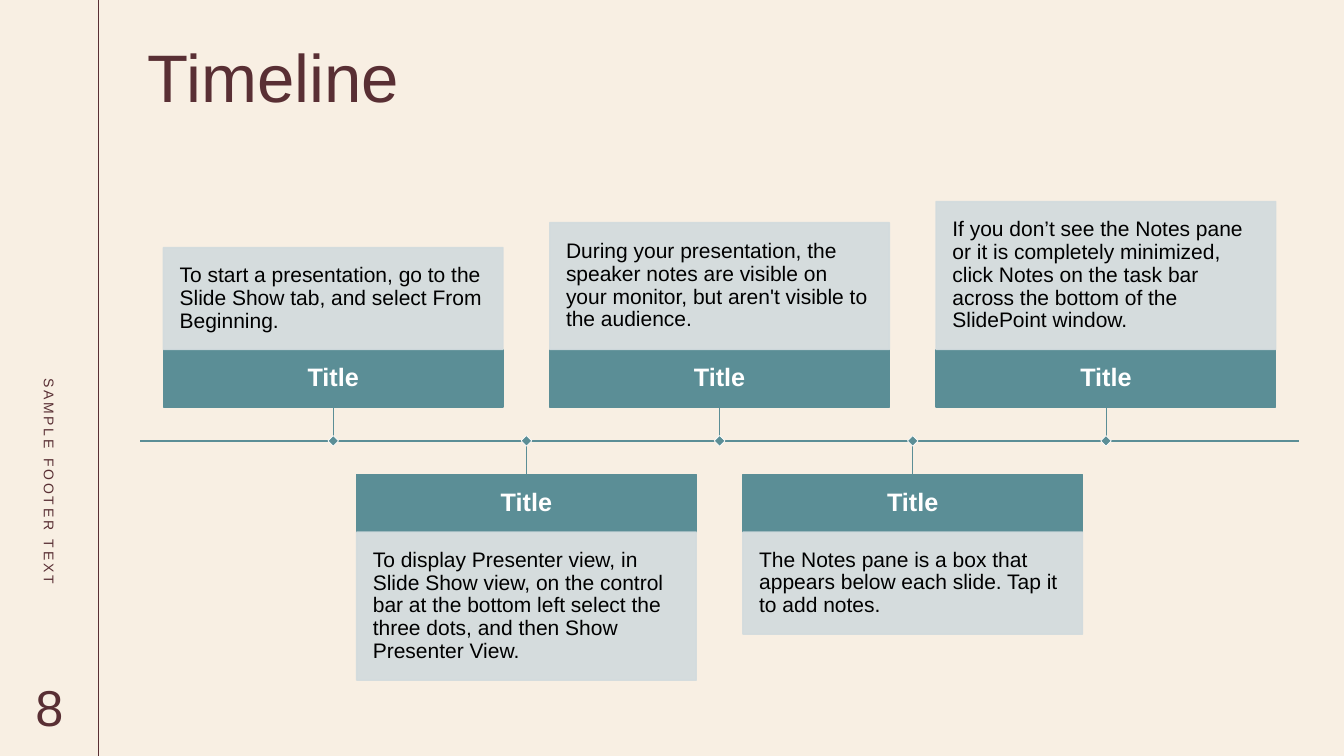
from lxml import etree
from pptx import Presentation
from pptx.dml.color import RGBColor
from pptx.enum import shapes as kinds, text as styles
from pptx.oxml.ns import qn
from pptx.util import Cm, Pt

CREAM = RGBColor(0xF8, 0xEF, 0xE3)
MAROON = RGBColor(0x59, 0x2F, 0x34)
TEAL = RGBColor(0x5B, 0x8E, 0x96)
MIST = RGBColor(0xD2, 0xDB, 0xDD)
WHITE = RGBColor(0xFF, 0xFF, 0xFF)
BLACK = RGBColor(0, 0, 0)

SLIDE_WIDTH, SLIDE_HEIGHT = 33.87, 19.05
RAIL_WIDTH = 2.49
CARD_WIDTH, HEADER_HEIGHT, STEM_LENGTH = 8.56, 1.45, 0.85
MARKER_SIZE = 0.19

EVENTS = [
    ("To start a presentation, go to the Slide Show tab, and select From Beginning.", 2.57),
    ("To display Presenter view, in Slide Show view, on the control bar at the bottom left "
     "select the three dots, and then Show Presenter View.", 3.73),
    ("During your presentation, the speaker notes are visible on your monitor, "
     "but aren't visible to the audience.", 3.2),
    ("The Notes pane is a box that appears below each slide. Tap it to add notes.", 2.57),
    ("If you don’t see the Notes pane or it is completely minimized, click Notes on the "
     "task bar across the bottom of the SlidePoint window.", 3.73),
]


def write(shape, words, size, color, align=styles.PP_ALIGN.LEFT,
          anchor=styles.MSO_ANCHOR.MIDDLE, inset=0, spacing=1.0, bold=False):
    frame = shape.text_frame
    frame.word_wrap = True
    frame.vertical_anchor = anchor
    frame.margin_left = frame.margin_right = Cm(inset)
    frame.margin_top = frame.margin_bottom = Cm(inset)
    paragraph = frame.paragraphs[0]
    paragraph.alignment = align
    paragraph.line_spacing = spacing
    run = paragraph.add_run()
    run.text = words
    run.font.name = "Arial"
    run.font.size = Pt(size)
    run.font.bold = bold
    run.font.color.rgb = color
    return run


def add_text_box(slide, left, top, width, height):
    return slide.shapes.add_textbox(Cm(left), Cm(top), Cm(width), Cm(height))


def add_line(slide, start, end, color, weight):
    line = slide.shapes.add_connector(
        kinds.MSO_CONNECTOR.STRAIGHT, *(Cm(value) for value in start + end))
    line.line.color.rgb = color
    line.line.width = Pt(weight)
    etree.SubElement(line._element.spPr, qn("a:effectLst"))


def add_box(slide, left, top, width, height, fill, outline, weight):
    box = slide.shapes.add_shape(
        kinds.MSO_SHAPE.RECTANGLE, Cm(left), Cm(top), Cm(width), Cm(height))
    box.shadow.inherit = False
    box.fill.solid()
    box.fill.fore_color.rgb = fill
    box.line.color.rgb = outline
    box.line.width = Pt(weight)
    return box


def add_rail(slide, left, top, width, height):
    right = left + width
    add_line(slide, (right, top), (right, top + height), MAROON, 0.75)
    length = 7.01
    footer = add_text_box(slide, left + (width - length) / 2, top + 11.79, length, width)
    footer.rotation = 90
    run = write(footer, "SAMPLE FOOTER TEXT", 10, MAROON)
    run.font._element.set("spc", "200")
    number = add_text_box(slide, left, top + height - width, width, width)
    write(number, "8", 36, MAROON, styles.PP_ALIGN.CENTER)


def add_title(slide, left, top, width, height):
    title = add_text_box(slide, left, top, width, height)
    write(title, "Timeline", 48, MAROON, anchor=styles.MSO_ANCHOR.TOP)


def add_card(slide, center, axis, words, body_height, above):
    left = center - CARD_WIDTH / 2
    if above:
        stem_end = axis - STEM_LENGTH
        header_top = stem_end - HEADER_HEIGHT
        body_top = header_top - body_height
    else:
        stem_end = header_top = axis + STEM_LENGTH
        body_top = header_top + HEADER_HEIGHT
    header = add_box(slide, left, header_top, CARD_WIDTH, HEADER_HEIGHT, TEAL, TEAL, 1)
    write(header, "Title", 18, WHITE, styles.PP_ALIGN.CENTER,
          inset=0.25, spacing=0.9, bold=True)
    body = add_box(slide, left, body_top, CARD_WIDTH, body_height, MIST, MIST, 1)
    for color in body._element.spPr.iter(qn("a:srgbClr")):
        etree.SubElement(color, qn("a:alpha"), val="90000")
    write(body, words, 15, BLACK, inset=0.41, spacing=0.9)
    add_line(slide, (center, axis), (center, stem_end), TEAL, 0.5)
    marker = add_box(slide, center - MARKER_SIZE / 2, axis - MARKER_SIZE / 2,
                     MARKER_SIZE, MARKER_SIZE, TEAL, WHITE, 0.5)
    marker.rotation = 45


def add_timeline(slide, left, axis, width):
    add_line(slide, (left, axis), (left + width, axis), TEAL, 1)
    step = width / (len(EVENTS) + 1)
    for index, (words, body_height) in enumerate(EVENTS):
        add_card(slide, left + step * (index + 1), axis, words, body_height, index % 2 == 0)


def main():
    presentation = Presentation()
    presentation.slide_width = Cm(SLIDE_WIDTH)
    presentation.slide_height = Cm(SLIDE_HEIGHT)
    slide = presentation.slides.add_slide(presentation.slide_layouts[6])
    slide.background.fill.solid()
    slide.background.fill.fore_color.rgb = CREAM
    add_rail(slide, 0, 0, RAIL_WIDTH, SLIDE_HEIGHT)
    add_title(slide, 3.73, 0.89, 28.91, 3.51)
    add_timeline(slide, 3.53, 11.11, 29.21)
    presentation.save("out.pptx")


if __name__ == "__main__":
    main()
